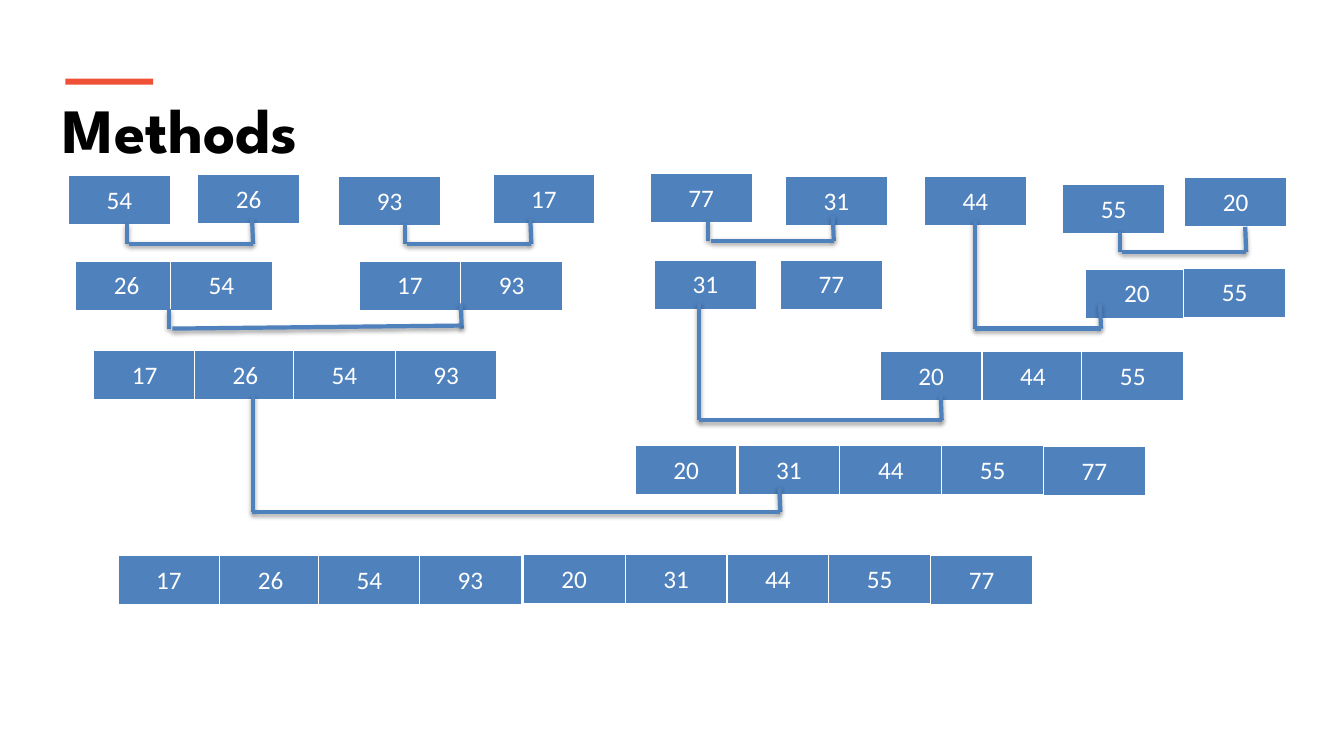
from lxml import etree
from pptx import Presentation
from pptx.dml.color import RGBColor
from pptx.enum.shapes import MSO_CONNECTOR, MSO_SHAPE
from pptx.enum.text import MSO_ANCHOR, PP_ALIGN
from pptx.oxml import parse_xml
from pptx.util import Pt

PX = 9144
WHITE = RGBColor(0xFF, 0xFF, 0xFF)
BLACK = RGBColor(0x00, 0x00, 0x00)
BLUE = RGBColor(0x4F, 0x81, 0xBD)
RED = RGBColor(0xF0, 0x51, 0x36)
STRAIGHT = MSO_CONNECTOR.STRAIGHT
RECTANGLE = MSO_SHAPE.RECTANGLE
MIDDLE, BOTTOM = MSO_ANCHOR.MIDDLE, MSO_ANCHOR.BOTTOM
CENTER = PP_ALIGN.CENTER

TITLE_FORMAT = {"name": "League Spartan", "size": Pt(45), "bold": True}
NUMBER_FORMAT = {"name": "Calibri", "size": Pt(18), "bold": False}
CELL_WIDTH, CELL_HEIGHT = 101, 50
RIGHT_LEG = 25
BORDERS = {"lnL": 1, "lnR": 1, "lnT": 1, "lnB": 3}
DRAWING = "http://schemas.openxmlformats.org/drawingml/2006/main"
SHADOW = (
    f'<a:effectLst xmlns:a="{DRAWING}">'
    '<a:outerShdw blurRad="39370" dist="22860" dir="5400000" rotWithShape="0">'
    '<a:srgbClr val="000000"><a:alpha val="35000"/></a:srgbClr>'
    '</a:outerShdw></a:effectLst>'
)

# Each level: left, top, then (number, x offset, y offset) for every cell.
LEVELS = [
    (68, 172, [(54, 0, 2), (26, 128, 1), (93, 268, 3), (17, 421, 1),
               (77, 577, 0), (31, 711, 3), (44, 849, 3), (55, 986, 11),
               (20, 1107, 4)]),
    (75, 258, [(26, 0, 1), (54, 94, 1), (17, 281, 1), (93, 382, 1),
               (31, 574, 0), (77, 699, 0), (20, 1002, 9), (55, 1099, 8)]),
    (93, 348, [(17, 0, 0), (26, 100, 0), (54, 198, 0), (93, 299, 0),
               (20, 780, 1), (44, 881, 1), (55, 980, 1)]),
    (630, 442, [(20, 0, 0), (31, 102, 0), (44, 203, 0), (55, 304, 0),
                (77, 405, 1)]),
    (117, 550, [(17, 0, 1), (26, 101, 1), (54, 199, 1), (93, 299, 1),
                (20, 402, 0), (31, 503, 0), (44, 604, 0), (55, 705, 0),
                (77, 806, 1)]),
]

# Each bracket: box (left, top, width, height), base inset, base rise.
BRACKETS = [
    ((126, 222, 125, 20), 2, 0),
    ((402, 222, 125, 20), 2, 0),
    ((702, 219, 125, 20), 3, 0),
    ((1111, 230, 125, 20), 2, 0),
    ((168, 307, 290, 19), 3, 3),
    ((967, 219, 125, 107), 0, 0),
    ((693, 300, 241, 117), 0, 0),
    ((251, 392, 523, 116), -1, 0),
]


def emu(*lengths):
    """Turn px lengths into EMU."""
    return [length * PX for length in lengths]


def write(paragraph, text, formats, color):
    """Put one formatted run into a paragraph."""
    run = paragraph.add_run()
    run.text = text
    for name, value in formats.items():
        setattr(run.font, name, value)
    run.font.color.rgb = color


def add_heading(slide, left, top, width, height):
    """Draw the title with its accent bar."""
    box = slide.shapes.add_textbox(*emu(left, top + 6, width, height - 6))
    settings = {"word_wrap": True, "vertical_anchor": BOTTOM, "margin_left": 4 * PX}
    for name, value in settings.items():
        setattr(box.text_frame, name, value)
    write(box.text_frame.paragraphs[0], "Methods", TITLE_FORMAT, BLACK)
    bar = slide.shapes.add_shape(RECTANGLE, *emu(left + 7, top, 87, 6))
    bar.shadow.inherit = False
    bar.fill.solid()
    bar.fill.fore_color.rgb = RED
    bar.line.fill.background()


def add_cell(slide, left, top, number):
    """Draw one number as a bordered single-cell table."""
    frame = slide.shapes.add_table(1, 1, *emu(left, top, CELL_WIDTH, CELL_HEIGHT))
    frame.table.first_row = frame.table.horz_banding = False
    cell = frame.table.cell(0, 0)
    cell.vertical_anchor = MIDDLE
    paragraph = cell.text_frame.paragraphs[0]
    paragraph.alignment = CENTER
    write(paragraph, str(number), NUMBER_FORMAT, WHITE)
    properties = cell._tc.get_or_add_tcPr()
    for side, points in BORDERS.items():
        border = etree.SubElement(properties, f"{{{DRAWING}}}{side}", w=str(Pt(points)))
        fill = etree.SubElement(border, f"{{{DRAWING}}}solidFill")
        etree.SubElement(fill, f"{{{DRAWING}}}srgbClr", val=str(WHITE))
    cell.fill.solid()
    cell.fill.fore_color.rgb = BLUE


def add_level(slide, left, top, cells):
    """Draw one level of the merge sort."""
    for number, across, down in cells:
        add_cell(slide, left + across, top + down, number)


def add_bracket(slide, box, inset, rise):
    """Join two runs with a left leg, a right leg and a base."""
    left, top, width, height = box
    right, bottom = left + width, top + height
    base_right = right - 1 if rise else right
    for ends in [
        (left, top, left, bottom),
        (right - 1, bottom - RIGHT_LEG, right, bottom),
        (left + inset, bottom, base_right, bottom - rise),
    ]:
        line = slide.shapes.add_connector(STRAIGHT, *emu(*ends))
        line.line.color.rgb = BLUE
        line.line.width = Pt(3)
        line._element.spPr.append(parse_xml(SHADOW))


def main():
    """Build and save the merge sort slide."""
    presentation = Presentation()
    presentation.slide_width, presentation.slide_height = emu(1333, 750)
    slide = presentation.slides.add_slide(presentation.slide_layouts[6])
    add_heading(slide, 58, 78, 1234, 92)
    for left, top, cells in LEVELS:
        add_level(slide, left, top, cells)
    for box, inset, rise in BRACKETS:
        add_bracket(slide, box, inset, rise)
    presentation.save("out.pptx")


if __name__ == "__main__":
    main()
